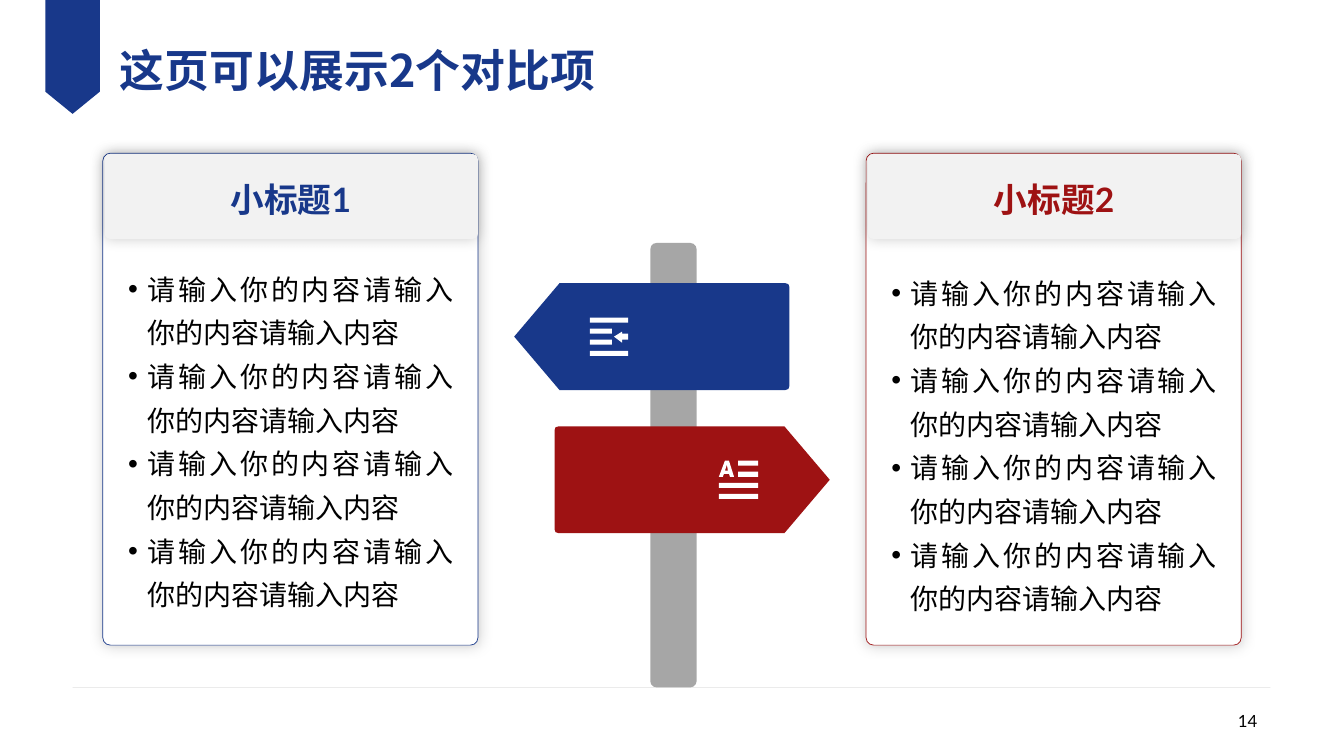
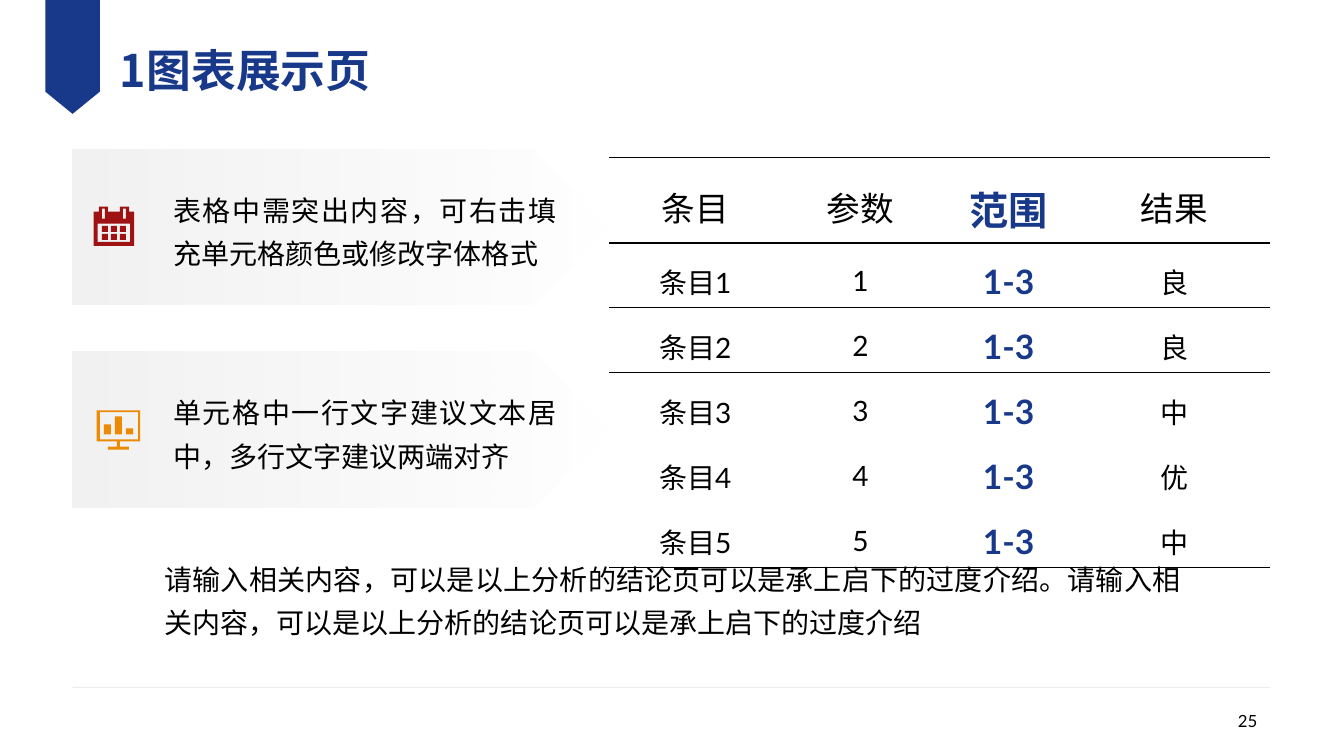
from lxml.etree import SubElement
from pptx import Presentation
from pptx.dml.color import RGBColor
from pptx.enum.shapes import MSO_CONNECTOR as Connector, MSO_SHAPE as Shape
from pptx.enum.text import MSO_ANCHOR as Anchor, MSO_AUTO_SIZE as AutoSize, PP_ALIGN as Align
from pptx.oxml.ns import qn
from pptx.util import Inches, Pt

COLORS = {"blue": "18388A", "red": "9E1213", "orange": "EC8A04", "black": "000000",
          "white": "FFFFFF", "pale": "F2F2F2", "rule": "BFBFBF", "post": "A6A6A6"}
LATIN, CJK = "Lato", "Noto Sans CJK SC"
NO_STYLE = "{2D5ABB26-0587-4C30-8999-92F81FD0307C}"
MARGINS = ("margin_left", "margin_top", "margin_right", "margin_bottom")


def color(name):
    return RGBColor.from_string(COLORS[name])


def apply(target, values):
    for attribute, value in values.items():
        setattr(target, attribute, value)


def node(parent, tag, **attributes):
    return SubElement(parent, qn(tag), {key: str(value) for key, value in attributes.items()})


def margins(values):
    return {side: Inches(value) for side, value in zip(MARGINS, values)}


def rect(left, top, right, bottom):
    return [(left, top), (right, top), (right, bottom), (left, bottom)]


class Deck:
    def __init__(self):
        self.presentation = Presentation()
        apply(self.presentation, {"slide_width": Inches(13.33), "slide_height": Inches(7.5)})
        self.slide = None

    def page(self, title, number):
        self.slide = self.presentation.slides.add_slide(self.presentation.slide_layouts[5])
        self.rule()
        self.outline([[(0.45, 0), (0.99, 0), (0.99, 0.91), (0.72, 1.13), (0.45, 0.91)]], "blue")
        heading = self.slide.shapes.title
        box = (1.19, 0.26, 8.93, 0.86)
        apply(heading, dict(zip(("left", "top", "width", "height"), map(Inches, box))))
        self.fill_frame(heading.text_frame, [title], 32, "blue", bold=True, font=CJK,
                        align=Align.LEFT, spacing=1.0, insets=(0, 0, 0, 0))
        self.text((9.57, 6.95, 3, 0.4), [number], 12, align=Align.RIGHT, spacing=1.0)

    def rule(self):
        footer = self.slide.shapes.add_connector(
            Connector.STRAIGHT, *map(Inches, (0.72, 6.82, 12.6, 6.82)))
        footer.line.width = Pt(0.25)
        footer.line.color.rgb = color("rule")
        node(footer.element.find(".//" + qn("a:srgbClr")), "a:alpha", val=47000)
        node(footer.element.spPr, "a:effectLst")

    def paint(self, shape, fill, line=None):
        shape.shadow.inherit = False
        if fill:
            shape.fill.solid()
            shape.fill.fore_color.rgb = color(fill)
        if line:
            shape.line.color.rgb = color(line)
            shape.line.width = Pt(0.5)
        else:
            shape.line.fill.background()

    def rounded(self, box, adjust, fill, line=None, glow=False):
        panel = self.slide.shapes.add_shape(Shape.ROUNDED_RECTANGLE, *map(Inches, box))
        panel.adjustments[0] = adjust
        self.paint(panel, fill, line)
        if glow:
            effects = panel.element.spPr.find(qn("a:effectLst"))
            shadow = node(effects, "a:outerShdw", blurRad=Pt(10), dist=0, dir=0,
                          algn="ctr", rotWithShape=0)
            shade = node(shadow, "a:srgbClr", val=COLORS["black"])
            node(shade, "a:alpha", val=20000)

    def fading_arrow(self, box):
        arrow = self.slide.shapes.add_shape(Shape.PENTAGON, *map(Inches, box))
        arrow.adjustments[0] = 0.492
        self.paint(arrow, None)
        arrow.fill.gradient()
        arrow.fill.gradient_angle = 0
        for stop in arrow.fill.gradient_stops:
            stop.color.rgb = color("pale")
        faded = arrow.element.findall(".//" + qn("a:gs"))[-1]
        node(faded.find(qn("a:srgbClr")), "a:alpha", val=0)

    def outline(self, contours, fill):
        builder = None
        for contour in contours:
            start, *rest = [tuple(map(Inches, point)) for point in contour]
            if builder is None:
                builder = self.slide.shapes.build_freeform(*start, scale=1.0)
            else:
                builder.move_to(*start)
            builder.add_line_segments(rest, close=True)
        self.paint(builder.convert_to_shape(), fill)

    def text(self, box, lines, size, ink="black", **style):
        frame = self.slide.shapes.add_textbox(*map(Inches, box)).text_frame
        self.fill_frame(frame, lines, size, ink, **style)

    def fill_frame(self, frame, lines, size, ink, bold=False, font=LATIN, align=Align.JUSTIFY,
                   spacing=1.3, insets=(0.1, 0.05, 0.1, 0.05), anchor=Anchor.MIDDLE,
                   bullet=False):
        apply(frame, {"word_wrap": True, "auto_size": AutoSize.NONE,
                      "vertical_anchor": anchor, **margins(insets)})
        for index, line in enumerate(lines):
            paragraph = frame.add_paragraph() if index else frame.paragraphs[0]
            self.fill_paragraph(paragraph, line, size, ink, bold, font, align, spacing, bullet)

    def fill_paragraph(self, paragraph, line, size, ink, bold=False, font=LATIN,
                       align=Align.CENTER, spacing=1.3, bullet=False):
        if bullet:
            properties = paragraph._p.get_or_add_pPr()
            properties.set("marL", str(Inches(0.19)))
            properties.set("indent", str(-Inches(0.19)))
            node(properties, "a:buFont", typeface="Arial")
            node(properties, "a:buChar", char="•")
        apply(paragraph, {"alignment": align, "line_spacing": spacing})
        run = paragraph.add_run()
        run.text = line
        apply(run.font, {"size": Pt(size), "bold": bold, "name": font})
        run.font.color.rgb = color(ink)
        node(run._r.get_or_add_rPr(), "a:ea", typeface=CJK)

    def table(self, box, widths, heights, rows, ruled_edges, key_column):
        grid = self.slide.shapes.add_table(len(rows), len(widths), *map(Inches, box)).table
        apply(grid, {"first_row": False, "horz_banding": False})
        grid._tbl.tblPr.find(qn("a:tableStyleId")).text = NO_STYLE
        for column, width in zip(grid.columns, widths):
            column.width = Inches(width)
        for r, (row, height) in enumerate(zip(rows, heights)):
            grid.rows[r].height = Inches(height)
            for c, entry in enumerate(row):
                cell = grid.cell(r, c)
                apply(cell, {"vertical_anchor": Anchor.MIDDLE,
                             **margins((0.11, 0.06, 0.11, 0.06))})
                key = c == key_column
                size = (24 if r == 0 else 20) + 4 * key
                self.fill_paragraph(cell.text_frame.paragraphs[0], entry, size,
                                    "blue" if key else "black", bold=key)
                self.borders(cell, r in ruled_edges, r + 1 in ruled_edges)

    def borders(self, cell, top, bottom):
        properties = cell._tc.get_or_add_tcPr()
        for tag, shown in (("a:lnT", top), ("a:lnB", bottom)):
            if shown:
                border = node(properties, tag, w=Pt(1))
                node(node(border, "a:solidFill"), "a:srgbClr", val=COLORS["black"])
        cell.fill.background()

    def card(self, left, heading, accent, points, points_top):
        self.rounded((left, 1.52, 3.72, 4.88), 0.02, "white", accent, glow=True)
        self.rounded((left + 0.02, 1.53, 3.7, 0.84), 0.059, "pale", glow=True)
        self.text((left + 0.3, 1.57, 3.13, 0.7), [heading], 24, accent, bold=True,
                  align=Align.CENTER)
        self.text((left + 0.25, points_top, 3.23, 3.69), points, 20, bullet=True,
                  insets=(0, 0.05, 0, 0.05), anchor=Anchor.TOP)

    def sign(self, tail, top, direction, fill):
        profile = [(0.04, 0), (2.28, 0), (2.73, 0.53), (2.28, 1.06), (0.04, 1.06),
                   (0.01, 1.05), (0, 1.02), (0, 0.04), (0.01, 0.01)]
        self.outline([[(tail + direction * x, top + y) for x, y in profile]], fill)

    def tip(self, top, message):
        self.fading_arrow((0.72, top, 5.32, 1.54))
        self.text((1.13, top + 0.13, 4.49, 1.28), [message], 20,
                  insets=(0.59, 0.05, 0.1, 0.05))


def comparison(deck):
    deck.page("这页可以展示2个对比项", "14")
    points = ["请输入你的内容请输入你的内容请输入内容"] * 4
    deck.card(1.02, "小标题1", "blue", points, 2.55)
    deck.card(8.59, "小标题2", "red", points, 2.59)
    deck.rounded((6.45, 2.41, 0.46, 4.41), 0.138, "post")
    deck.sign(5.5, 4.23, 1, "red")
    deck.sign(7.83, 2.81, -1, "blue")
    letter = [(7.19, 4.57), (7.23, 4.57), (7.28, 4.73), (7.24, 4.73), (7.23, 4.7),
              (7.18, 4.7), (7.17, 4.73), (7.13, 4.73)]
    counter = [(7.21, 4.61), (7.19, 4.67), (7.22, 4.67)]
    lines = [rect(left, top, 7.52, top + 0.05)
             for left, top in ((7.32, 4.57), (7.32, 4.68), (7.13, 4.79), (7.13, 4.9))]
    deck.outline([letter, counter, *lines], "white")
    pointer = [(6.17, 3.29), (6.17, 3.31), (6.23, 3.31), (6.23, 3.37), (6.17, 3.37),
               (6.17, 3.4), (6.09, 3.34)]
    lines = [rect(5.85, top, right, top + 0.05)
             for top, right in ((3.15, 6.23), (3.26, 6.07), (3.37, 6.07), (3.48, 6.23))]
    deck.outline([pointer, *lines], "white")


def table_page(deck):
    deck.page("1图表展示页", "25")
    deck.tip(1.48, "表格中需突出内容，可右击填充单元格颜色或修改字体格式")
    deck.tip(3.49, "单元格中一行文字建议文本居中，多行文字建议两端对齐")
    rows = [("条目", "参数", "范围", "结果")]
    rows += [(f"条目{i}", str(i), "1-3", grade) for i, grade in enumerate("良良中优中", 1)]
    deck.table((6.04, 1.56, 6.56, 3.32), (1.71, 1.57, 1.37, 1.91), [0.62] + [0.54] * 5,
               rows, ruled_edges={0, 1, 2, 6}, key_column=2)
    deck.text((1.63, 5.23, 10.08, 1.36),
              ["请输入相关内容，可以是以上分析的结论页可以是承上启下的过度介绍。"
               "请输入相关内容，可以是以上分析的结论页可以是承上启下的过度介绍"],
              20, insets=(0, 0.05, 0, 0.05))
    calendar = [(0.93, 2.1), (0.98, 2.1), (0.98, 2.05), (1.07, 2.05), (1.07, 2.1), (1.19, 2.1),
                (1.19, 2.05), (1.28, 2.05), (1.28, 2.1), (1.33, 2.1), (1.33, 2.44), (0.93, 2.44)]
    rings = [rect(left, 2.07, left + 0.03, 2.17) for left in (1.01, 1.22)]
    days = [rect(left, top, left + 0.06, top + 0.06)
            for top in (2.24, 2.32) for left in (1.01, 1.1, 1.19)]
    deck.outline([calendar, *rings, rect(0.97, 2.22, 1.29, 2.4), *days], "red")
    monitor = [(0.96, 4.07), (1.39, 4.07), (1.39, 4.38), (1.19, 4.38), (1.19, 4.43),
               (1.28, 4.43), (1.28, 4.46), (1.07, 4.46), (1.07, 4.43), (1.16, 4.43),
               (1.16, 4.38), (0.96, 4.38)]
    bars = [rect(left, top, left + 0.07, 4.31)
            for left, top in ((1.03, 4.21), (1.14, 4.13), (1.25, 4.25))]
    deck.outline([monitor, rect(0.99, 4.09, 1.37, 4.36), *bars], "orange")


def main():
    deck = Deck()
    comparison(deck)
    table_page(deck)
    deck.presentation.save("out.pptx")


if __name__ == "__main__":
    main()
